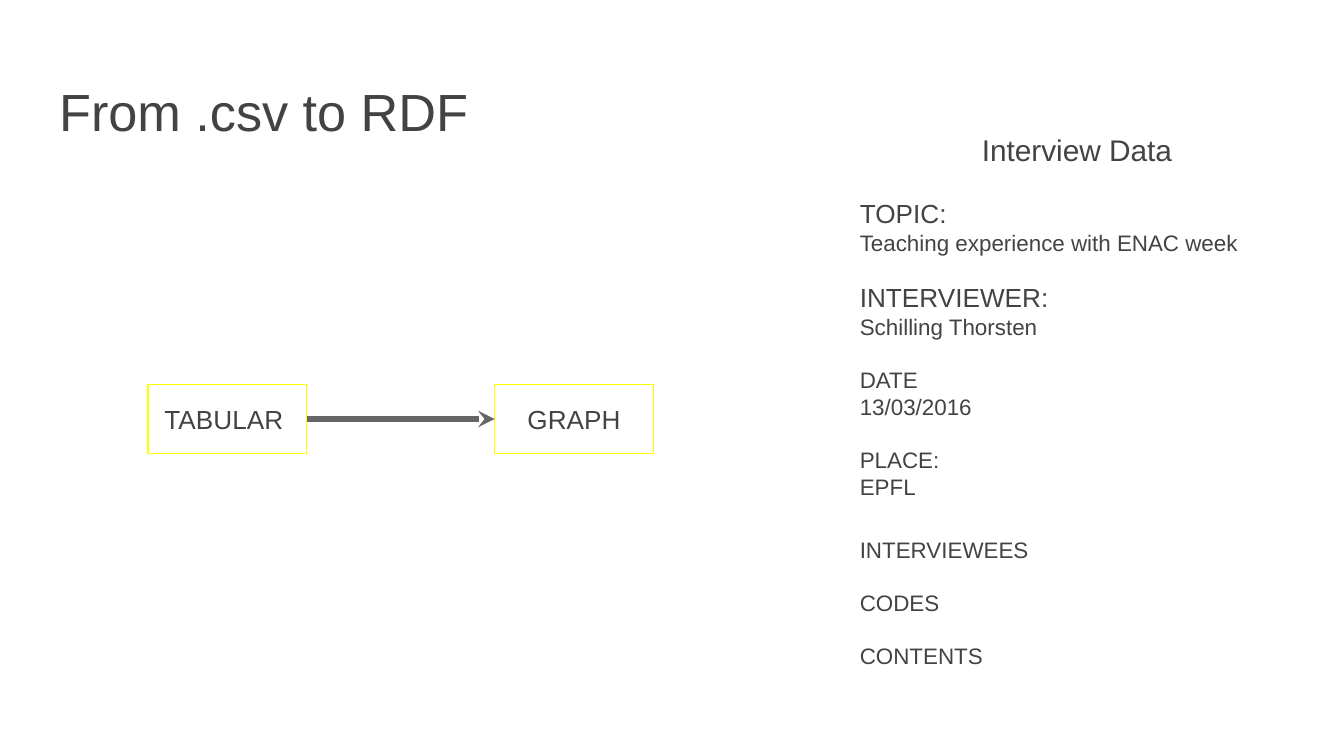
from lxml.etree import SubElement
from pptx import Presentation
from pptx.dml.color import RGBColor
from pptx.enum.shapes import MSO_CONNECTOR, MSO_SHAPE
from pptx.enum.text import MSO_ANCHOR, PP_ALIGN
from pptx.oxml.ns import qn
from pptx.util import Cm, Pt

TEXT_GREY = RGBColor(0x43, 0x43, 0x43)
ARROW_GREY = RGBColor(0x66, 0x66, 0x66)
YELLOW = RGBColor(0xFF, 0xFF, 0x00)
FONT = "Arial"
MARGIN = Cm(0.25)

INTERVIEW_DETAILS = [
    ("TOPIC:", 14, 16),
    ("Teaching experience with ENAC week", 12, 0),
    ("INTERVIEWER:", 14, 14),
    ("Schilling Thorsten", 12, 0),
    ("DATE", 12, 14),
    ("13/03/2016", 12, 0),
    ("PLACE:", 12, 14),
    ("EPFL", 12, 0),
]
INTERVIEW_PARTS = [
    ("INTERVIEWEES", 12, 0),
    ("CODES", 12, 14),
    ("CONTENTS", 12, 14),
]


def set_margins(frame):
    frame.word_wrap = True
    frame.margin_left = frame.margin_right = MARGIN
    frame.margin_top = frame.margin_bottom = MARGIN


def write_line(paragraph, text, size, gap=0, align=PP_ALIGN.LEFT):
    paragraph.text = text
    paragraph.alignment = align
    paragraph.space_before = Pt(gap)
    paragraph.font.name = FONT
    paragraph.font.size = Pt(size)
    paragraph.font.color.rgb = TEXT_GREY


def add_text(slide, left, top, width, height, lines, heading=None):
    frame = slide.shapes.add_textbox(Cm(left), Cm(top), Cm(width), Cm(height)).text_frame
    set_margins(frame)
    paragraph = frame.paragraphs[0]
    if heading:
        write_line(paragraph, heading, 16, align=PP_ALIGN.CENTER)
        paragraph = frame.add_paragraph()
    for index, (text, size, gap) in enumerate(lines):
        if index:
            paragraph = frame.add_paragraph()
        write_line(paragraph, text, size, gap)


def add_format_box(slide, left, label):
    box = slide.shapes.add_shape(MSO_SHAPE.RECTANGLE, Cm(left), Cm(7.27), Cm(3), Cm(1.3))
    box.shadow.inherit = False
    box.fill.background()
    box.line.color.rgb = YELLOW
    box.line.width = Pt(0.75)
    set_margins(box.text_frame)
    box.text_frame.vertical_anchor = MSO_ANCHOR.MIDDLE
    write_line(box.text_frame.paragraphs[0], label, 14, align=PP_ALIGN.CENTER)
    return box


def add_arrow(slide, source, target):
    arrow = slide.shapes.add_connector(MSO_CONNECTOR.STRAIGHT, 0, 0, 0, 0)
    arrow.begin_connect(source, 3)
    arrow.end_connect(target, 1)
    arrow.line.color.rgb = ARROW_GREY
    arrow.line.width = Pt(3)
    SubElement(arrow.line._get_or_add_ln(), qn("a:tailEnd"), type="stealth")
    SubElement(arrow._element.spPr, qn("a:effectLst"))


def main():
    presentation = Presentation()
    presentation.slide_width = Cm(25.4)
    presentation.slide_height = Cm(14.29)
    slide = presentation.slides.add_slide(presentation.slide_layouts[6])

    add_text(slide, 0.87, 1.24, 23.67, 1.6, [("From .csv to RDF", 28, 0)])
    add_text(slide, 16, 2.24, 8.71, 7.42, INTERVIEW_DETAILS, "Interview Data")
    add_text(slide, 16, 9.88, 8.71, 3.15, INTERVIEW_PARTS)

    tabular = add_format_box(slide, 2.8, "TABULAR ")
    graph = add_format_box(slide, 9.35, "GRAPH")
    add_arrow(slide, tabular, graph)

    presentation.save("out.pptx")


if __name__ == "__main__":
    main()
